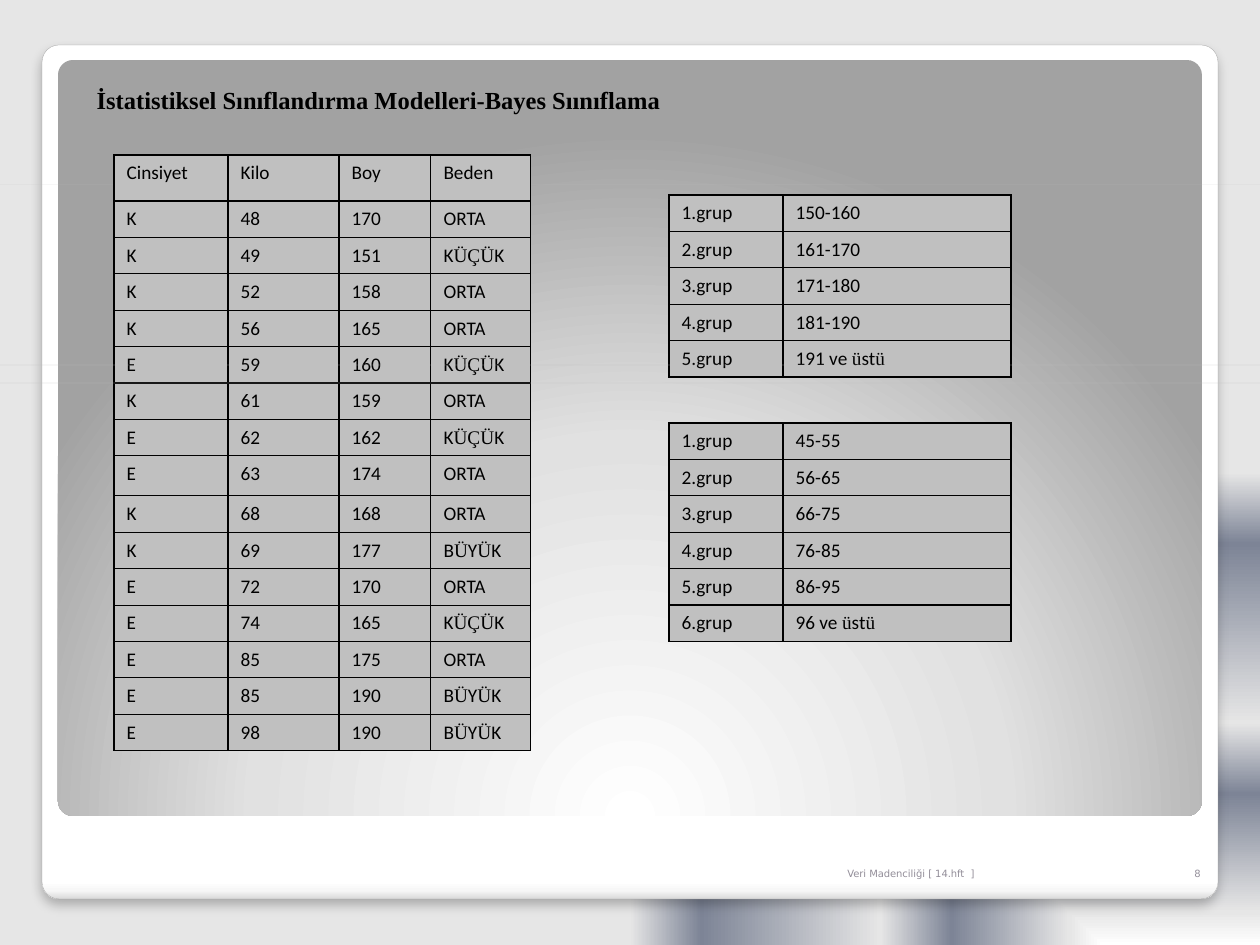
from itertools import groupby

from lxml.etree import SubElement as Sub
from pptx import Presentation
from pptx.dml.color import RGBColor as RGB
from pptx.enum.shapes import MSO_SHAPE as Shape
from pptx.enum.text import MSO_ANCHOR as Anchor, MSO_AUTO_SIZE as Auto, PP_ALIGN as Align
from pptx.oxml.ns import qn
from pptx.util import Pt

SCALE = 914400 / 126
BLACK = RGB(0, 0, 0)
WHITE = RGB(255, 255, 255)
SILVER = RGB(0xC0, 0xC0, 0xC0)
EDGE = RGB(0xA4, 0xA4, 0xA4)
PALE = RGB(0xE6, 0xE6, 0xE6)
SLATE = RGB(0x7D, 0x84, 0x96)
SNOW = RGB(0xF7, 0xF7, 0xF7)
ASH = RGB(0xDA, 0xDA, 0xDA)
MIST = RGB(0xE1, 0xE1, 0xE1)
GREY = RGB(0xA2, 0xA2, 0xA2)
MAUVE = RGB(0x93, 0x8E, 0x99)
DUSK = RGB(0x95, 0x90, 0x9B)

BACK = [(0, WHITE), (7, PALE), (32, SLATE), (47, PALE), (85, SLATE), (100, PALE)]
CARD = [(0, WHITE), (98, WHITE), (99, SNOW), (100, ASH)]
PANEL = [(0, WHITE), (55, MIST), (100, GREY)]

PEOPLE = [row.split() for row in """Cinsiyet Kilo Boy Beden
K 48 170 ORTA
K 49 151 KÜÇÜK
K 52 158 ORTA
K 56 165 ORTA
E 59 160 KÜÇÜK
K 61 159 ORTA
E 62 162 KÜÇÜK
E 63 174 ORTA
K 68 168 ORTA
K 69 177 BÜYÜK
E 72 170 ORTA
E 74 165 KÜÇÜK
E 85 175 ORTA
E 85 190 BÜYÜK
E 98 190 BÜYÜK""".splitlines()]
HEIGHTS = ["150-160", "161-170", "171-180", "181-190", "191 ve üstü"]
WEIGHTS = ["45-55", "56-65", "66-75", "76-85", "86-95", "96 ve üstü"]


def px(num):
    """Turn px into EMU."""
    return round(num * SCALE)


def blend(node, stops, path=None, rect=None):
    """Swap the solid fill of a node for a gradient."""
    solid = node.find(qn("a:solidFill"))
    grad = Sub(node, qn("a:gradFill"), rotWithShape="1")
    node.replace(solid, grad)
    items = Sub(grad, qn("a:gsLst"))
    for pos, color in stops:
        stop = Sub(items, qn("a:gs"), pos=str(pos * 1000))
        Sub(stop, qn("a:srgbClr"), val=str(color))
    if path:
        way = Sub(grad, qn("a:path"), path=path)
        sides = {side: str(num * 1000) for side, num in zip("ltrb", rect)}
        Sub(way, qn("a:fillToRect"), **sides)
    else:
        Sub(grad, qn("a:lin"), ang="5400000", scaled="0")


def block(slide, box, kind, color):
    """Add a plain filled shape without line or shadow."""
    shape = slide.shapes.add_shape(kind, *map(px, box))
    shape.shadow.inherit = False
    shape.fill.solid()
    shape.fill.fore_color.rgb = color
    shape.line.fill.background()
    return shape


def frame(slide, box):
    """Draw the white card and the grey panel inside it."""
    left, top, width, height = box
    card = block(slide, box, Shape.ROUNDED_RECTANGLE, WHITE)
    card.line.color.rgb = EDGE
    card.line.width = Pt(0.16)
    panel = block(slide, (left + 16, top + 15, width - 32, height - 98),
                  Shape.ROUNDED_RECTANGLE, WHITE)
    for shape in (card, panel):
        shape.adjustments[0] = 0.02
    props = card.element.spPr
    blend(props, CARD)
    blend(panel.element.spPr, PANEL, "circle", (50, 175, 50, -75))
    glow = Sub(props.find(qn("a:effectLst")), qn("a:outerShdw"), blurRad=str(Pt(6)),
               dist=str(Pt(4)), dir="5400000", algn="t", rotWithShape="0")
    tint = Sub(glow, qn("a:srgbClr"), val=str(BLACK))
    Sub(tint, qn("a:alpha"), val="25000")


def style(para, name, size, color, align=Align.LEFT, bold=False):
    """Set the font and alignment of a paragraph."""
    para.alignment = align
    font = para.font
    font.name, font.size, font.bold = name, Pt(size), bold
    font.color.rgb = color


def head(slide, box, text):
    """Place the title in front of the frame."""
    title = slide.shapes.title
    title.left, title.top, title.width, title.height = map(px, box)
    area = title.text_frame
    area.text = text
    area.auto_size, area.word_wrap = Auto.NONE, True
    area.vertical_anchor = Anchor.TOP
    area.margin_top = area.margin_bottom = 0
    style(area.paragraphs[0], "Times New Roman", 14, BLACK, bold=True)
    slide.shapes.element.append(title.element)


def note(slide, box, text, color, align):
    """Add one small text of the footer."""
    area = slide.shapes.add_textbox(*map(px, box)).text_frame
    area.word_wrap = True
    area.vertical_anchor = Anchor.BOTTOM
    area.margin_bottom = px(12)
    para = area.paragraphs[0]
    para.text = text
    style(para, "DejaVu Sans", 5.7, color, align)


def foot(slide, box):
    """Set the course name and the page number side by side."""
    left, top, width, height = box
    page = 63
    note(slide, (left, top, width - page, height), "Veri Madenciliği [ 14.hft  ]",
         MAUVE, Align.LEFT)
    note(slide, (left + width - page, top, page, height), "8", DUSK, Align.RIGHT)


def edge(cell):
    """Give a cell thin black borders."""
    props = cell._tc.get_or_add_tcPr()
    for spot, tag in enumerate(("a:lnL", "a:lnR", "a:lnT", "a:lnB")):
        line = Sub(props, qn(tag), w=str(Pt(0.75)))
        Sub(Sub(line, qn("a:solidFill")), qn("a:srgbClr"), val=str(BLACK))
        props.insert(spot, line)


def write(cell, text):
    """Write a cell, with accented letters in the serif font."""
    cell.fill.solid()
    cell.fill.fore_color.rgb = SILVER
    edge(cell)
    para = cell.text_frame.paragraphs[0]
    style(para, "Calibri", 11, BLACK, Align.JUSTIFY)
    for plain, part in groupby(text, str.isascii):
        run = para.add_run()
        run.text = "".join(part)
        font = run.font
        font.name = "Calibri" if plain else "Times New Roman"
        font.size = Pt(11)
        font.color.rgb = BLACK


def grid(slide, box, cols, data, tall=None):
    """Build a table; tall maps a row to its own height, the rest share."""
    tall = tall or {}
    share = (box[3] - sum(tall.values())) / (len(data) - len(tall))
    table = slide.shapes.add_table(len(data), len(cols), *map(px, box)).table
    table.first_row = table.horz_banding = False
    for col, width in zip(table.columns, cols):
        col.width = px(width)
    for num, (row, texts) in enumerate(zip(table.rows, data)):
        row.height = px(tall.get(num, share))
        for cell, text in zip(row.cells, texts):
            write(cell, text)


def groups(slide, box, spans):
    """Build a table of numbered groups."""
    data = [(f"{num}.grup", span) for num, span in enumerate(spans, 1)]
    grid(slide, box, (114, box[2] - 114), data)


def rule(slide, top):
    """Draw a hairline across the slide."""
    block(slide, (0, top, 1260, 0), Shape.RECTANGLE, SILVER)


def main():
    """Build and save the slide."""
    deck = Presentation()
    deck.slide_width, deck.slide_height = px(1260), px(945)
    slide = deck.slides.add_slide(deck.slide_layouts[5])
    slide.background.fill.solid()
    blend(slide.element.find(".//" + qn("p:bgPr")), BACK, "rect", (100, 100, 0, 0))
    frame(slide, (42, 45, 1176, 854))
    foot(slide, (835, 842, 378, 50))
    head(slide, (84, 85, 1128, 44), "İstatistiksel Sınıflandırma Modelleri-Bayes Sıınıflama")
    rule(slide, 185)
    grid(slide, (114, 155, 417, 596), (114, 111, 92, 100), PEOPLE, {0: 46, 8: 40})
    rule(slide, 383)
    groups(slide, (669, 195, 342, 182), HEIGHTS)
    rule(slide, 365)
    groups(slide, (669, 423, 342, 218), WEIGHTS)
    deck.save("out.pptx")


if __name__ == "__main__":
    main()
